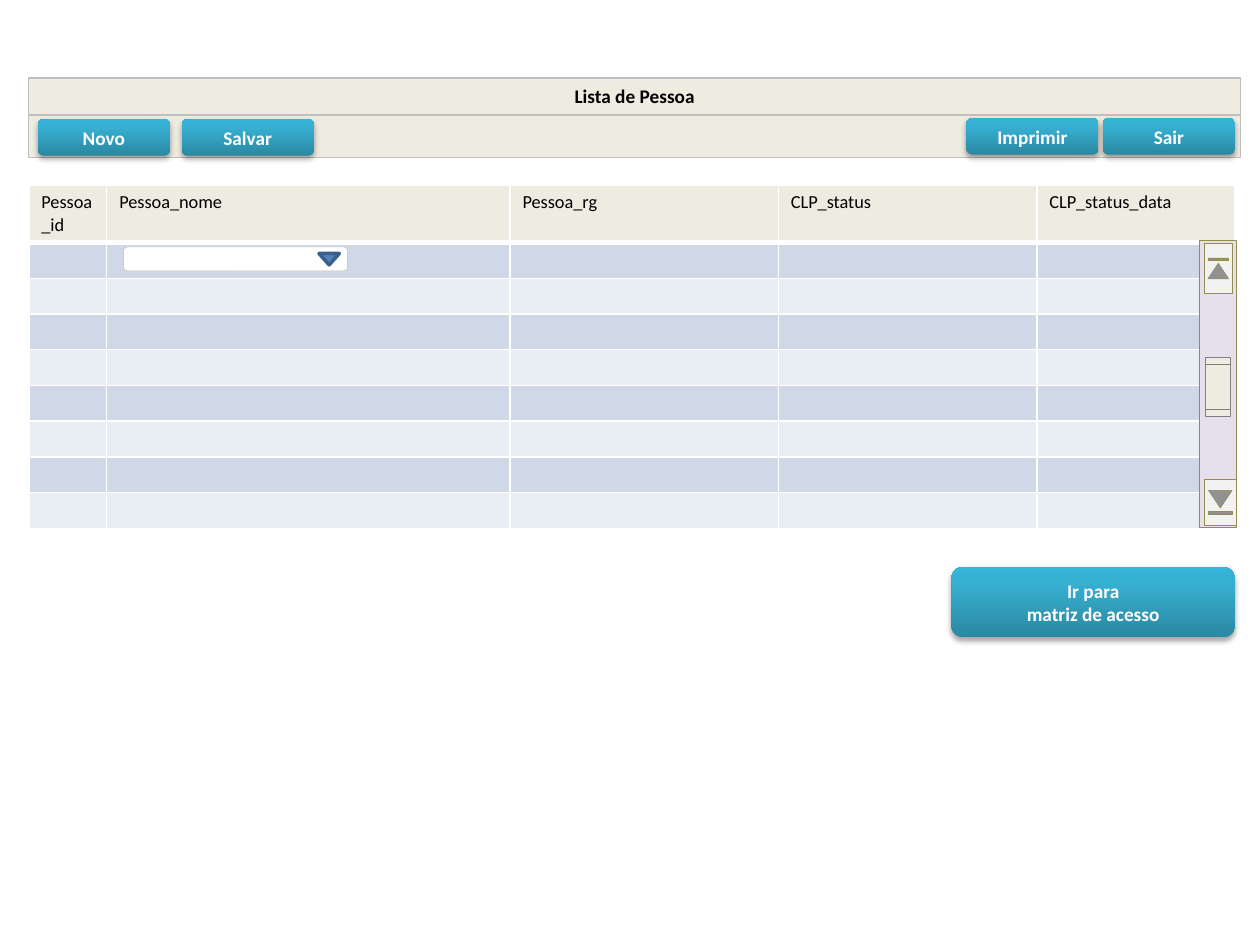
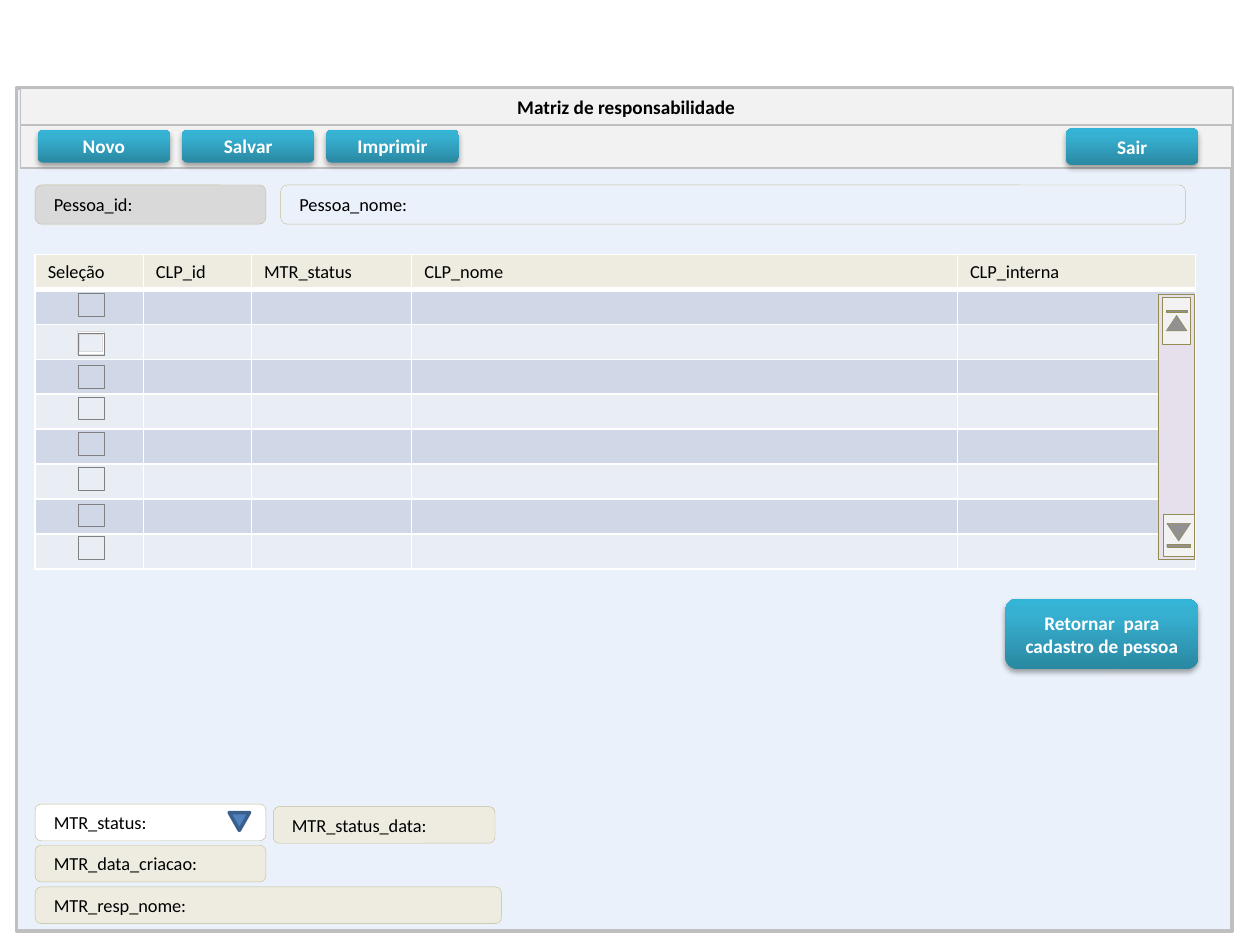
from dataclasses import dataclass

from lxml import etree
from pptx import Presentation
from pptx.dml.color import RGBColor
from pptx.enum.shapes import MSO_SHAPE
from pptx.enum.text import MSO_ANCHOR, MSO_AUTO_SIZE, PP_ALIGN
from pptx.oxml import parse_xml
from pptx.oxml.ns import nsdecls, qn
from pptx.util import Cm, Pt

RECT = MSO_SHAPE.RECTANGLE
ROUND = MSO_SHAPE.ROUNDED_RECTANGLE
FRAME = MSO_SHAPE.FRAME
DROP = MSO_SHAPE.FLOWCHART_EXTRACT
END = MSO_SHAPE.ACTION_BUTTON_END
THUMB = MSO_SHAPE.FLOWCHART_PREDEFINED_PROCESS
LEFT, MID = PP_ALIGN.LEFT, PP_ALIGN.CENTER

FONT = "Calibri"
BLACK, WHITE = "000000", "FFFFFF"
CREAM, PALE, MIST = "EEECE1", "F2F2F2", "EAF1FA"
GRAY, SILVER, SMOKE = "808080", "BFBFBF", "D9D9D9"
TAN, OLIVE, LILAC = "C4BD97", "948A54", "E6E0EC"
BLUE, NAVY = "4F81BD", "3A5F8C"
BANDS = ("D0D8E8", "E9EDF4")
GLOW = ((0, "2A88A2"), (80, "37B1D2"), (100, "34B4D6"))


@dataclass
class Box:
    x: float
    y: float
    w: float
    h: float

    def cm(self) -> tuple:
        return Cm(self.x), Cm(self.y), Cm(self.w), Cm(self.h)


@dataclass
class Button:
    text: str
    box: Box


@dataclass
class Field:
    text: str
    box: Box
    fill: str | None = CREAM


@dataclass
class Grid:
    x: float
    y: float
    heads: tuple
    cols: tuple
    top: float
    row: float
    count: int = 8


def color(code: str) -> RGBColor:
    return RGBColor.from_string(code)


def write(frame, text: str, *, size: float = 10.5, tint: str = BLACK,
          bold: bool = False, align=LEFT) -> None:
    frame.text = text
    for par in frame.paragraphs:
        par.alignment = align
        for run in par.runs:
            font = run.font
            font.name, font.size, font.bold = FONT, Pt(size), bold
            font.color.rgb = color(tint)


def paint(shape, fill: str | None, line: str | None, width: float) -> None:
    if fill:
        shape.fill.solid()
        shape.fill.fore_color.rgb = color(fill)
    else:
        shape.fill.background()
    if line:
        shape.line.color.rgb = color(line)
        shape.line.width = Pt(width)
    else:
        shape.line.fill.background()


def put(slide, kind, box: Box, fill: str | None = None,
        line: str | None = None, width: float = 0.25, turn: int = 0):
    if turn % 180:
        gap = (box.w - box.h) / 2
        box = Box(box.x + gap, box.y - gap, box.h, box.w)
    shape = slide.shapes.add_shape(kind, *box.cm())
    shape.shadow.inherit = False
    shape.rotation = turn
    paint(shape, fill, line, width)
    return shape


def press(slide, item: Button) -> None:
    shape = put(slide, ROUND, item.box)
    props = shape.element.spPr
    stops = "".join(
        f'<a:gs pos="{pos * 1000}"><a:srgbClr val="{code}"/></a:gs>'
        for pos, code in GLOW)
    grad = parse_xml(
        f'<a:gradFill {nsdecls("a")} rotWithShape="1"><a:gsLst>{stops}</a:gsLst>'
        '<a:lin ang="16200000" scaled="0"/></a:gradFill>')
    props.replace(props.find(qn("a:noFill")), grad)
    props.find(qn("a:effectLst")).append(parse_xml(
        f'<a:outerShdw {nsdecls("a")} blurRad="40000" dist="23000" '
        'dir="5400000" rotWithShape="0"><a:srgbClr val="000000">'
        '<a:alpha val="35000"/></a:srgbClr></a:outerShdw>'))
    write(shape.text_frame, item.text, size=11, tint=WHITE, bold=True, align=MID)


def label(slide, item: Field) -> None:
    shape = put(slide, ROUND, item.box, item.fill, TAN)
    shape.text_frame.margin_left = Cm(0.34)
    write(shape.text_frame, item.text)


def header(slide, text: str, x: float, y: float, fill: str) -> None:
    title = slide.shapes.title
    title.element.getparent().append(title.element)
    title.left, title.top, title.width, title.height = Box(x, y, 24.43, 0.74).cm()
    paint(title, fill, SILVER, 0.75)
    frame = title.text_frame
    frame.auto_size = MSO_AUTO_SIZE.NONE
    frame.vertical_anchor = MSO_ANCHOR.MIDDLE
    write(frame, text, size=11, bold=True, align=MID)
    put(slide, RECT, Box(x, y + 0.75, 24.43, 0.86), fill, SILVER, 0.75)


def edge(cell, row: int) -> None:
    props = cell._tc.get_or_add_tcPr()
    for spot, side in enumerate("LRTB"):
        thick = (row, side) in ((0, "B"), (1, "T"))
        props.insert(spot, parse_xml(
            f'<a:ln{side} {nsdecls("a")} w="{Pt(3 if thick else 1)}"><a:solidFill>'
            f'<a:srgbClr val="{WHITE}"/></a:solidFill></a:ln{side}>'))


def table(slide, grid: Grid) -> None:
    size = Box(grid.x, grid.y, sum(grid.cols), grid.top + grid.count * grid.row)
    body = slide.shapes.add_table(grid.count + 1, len(grid.cols), *size.cm()).table
    for col, wide in zip(body.columns, grid.cols):
        col.width = Cm(wide)
    for num, row in enumerate(body.rows):
        row.height = Cm(grid.row if num else grid.top)
        for cell, head in zip(row.cells, grid.heads):
            cell.fill.solid()
            cell.fill.fore_color.rgb = color(BANDS[(num - 1) % 2] if num else CREAM)
            edge(cell, num)
            if num:
                par = cell.text_frame.paragraphs[0]._p
                etree.SubElement(par, qn("a:endParaRPr"), sz="1050")
            else:
                write(cell.text_frame, head)


def scroll(slide, bar: Box, up: float, down: float) -> None:
    put(slide, RECT, bar, LILAC, OLIVE)
    x, end = bar.x + 0.1, bar.y + bar.h - 0.06
    put(slide, END, Box(x, bar.y + 0.05, 0.56, up), PALE, OLIVE, turn=270)
    put(slide, END, Box(x, end - down, 0.64, down), PALE, OLIVE, turn=90)


def drop(slide, box: Box) -> None:
    put(slide, DROP, box, BLUE, NAVY, 2, 180)


def people(slide) -> None:
    header(slide, "Lista de Pessoa", 0.58, 1.57, CREAM)
    table(slide, Grid(
        0.58, 3.73,
        ("Pessoa_id", "Pessoa_nome", "Pessoa_rg", "CLP_status", "CLP_status_data"),
        (1.57, 8.13, 5.41, 5.21, 3.99), 1.16, 0.72))
    put(slide, ROUND, Box(2.49, 4.98, 4.52, 0.48), WHITE, TAN)
    drop(slide, Box(6.43, 5.11, 0.41, 0.23))
    for text, x, y in (("Novo", 0.76, 2.4), ("Salvar", 3.66, 2.4),
                       ("Imprimir", 19.48, 2.38), ("Sair", 22.23, 2.38)):
        press(slide, Button(text, Box(x, y, 2.67, 0.74)))
    press(slide, Button("Ir para\nmatriz de acesso", Box(19.18, 11.43, 5.72, 1.42)))
    scroll(slide, Box(24.18, 4.85, 0.74, 5.79), 1.02, 0.91)
    put(slide, THUMB, Box(24.29, 7.2, 0.51, 1.19), CREAM, GRAY, turn=90)


def matrix(slide) -> None:
    put(slide, RECT, Box(0.33, 1.78, 24.51, 16.99), MIST, SILVER, 2)
    header(slide, "Matriz de responsabilidade", 0.41, 1.78, PALE)
    for item in (
        Field("MTR_data_criacao:", Box(0.71, 17.04, 4.65, 0.74)),
        Field("MTR_status:", Box(0.71, 16.21, 4.65, 0.74), WHITE),
        Field("MTR_resp_nome:", Box(0.71, 17.88, 9.4, 0.74)),
        Field("MTR_status_data:", Box(5.51, 16.26, 4.47, 0.74)),
        Field("Pessoa_id:", Box(0.71, 3.73, 4.65, 0.79), SMOKE),
        Field("Pessoa_nome:", Box(5.66, 3.73, 18.24, 0.79), None),
    ):
        label(slide, item)
    drop(slide, Box(4.62, 16.38, 0.41, 0.36))
    for num, text in enumerate(("Novo", "Salvar", "Imprimir")):
        press(slide, Button(text, Box(0.76 + num * 2.91, 2.62, 2.67, 0.66)))
    press(slide, Button("Sair", Box(21.49, 2.59, 2.67, 0.74)))
    table(slide, Grid(
        0.71, 5.13,
        ("Seleção", "CLP_id", "MTR_status", "CLP_nome", "CLP_interna"),
        (2.18, 2.18, 3.23, 11, 4.8), 0.7, 0.7))
    scroll(slide, Box(23.34, 5.94, 0.74, 5.33), 0.94, 0.84)
    put(slide, FRAME, Box(1.55, 6.68, 0.56, 0.46), WHITE, SMOKE)
    for y in (5.92, 6.71, 7.37, 8, 8.71, 9.42, 10.16, 10.82):
        put(slide, RECT, Box(1.57, y, 0.53, 0.46), None, GRAY)
    press(slide, Button("Retornar  para cadastro de pessoa",
                        Box(20.27, 12.07, 3.89, 1.42)))


def main() -> None:
    deck = Presentation()
    deck.slide_width, deck.slide_height = Cm(25.4), Cm(19.05)
    for draw in (people, matrix):
        draw(deck.slides.add_slide(deck.slide_layouts[5]))
    deck.save("out.pptx")


if __name__ == "__main__":
    main()
